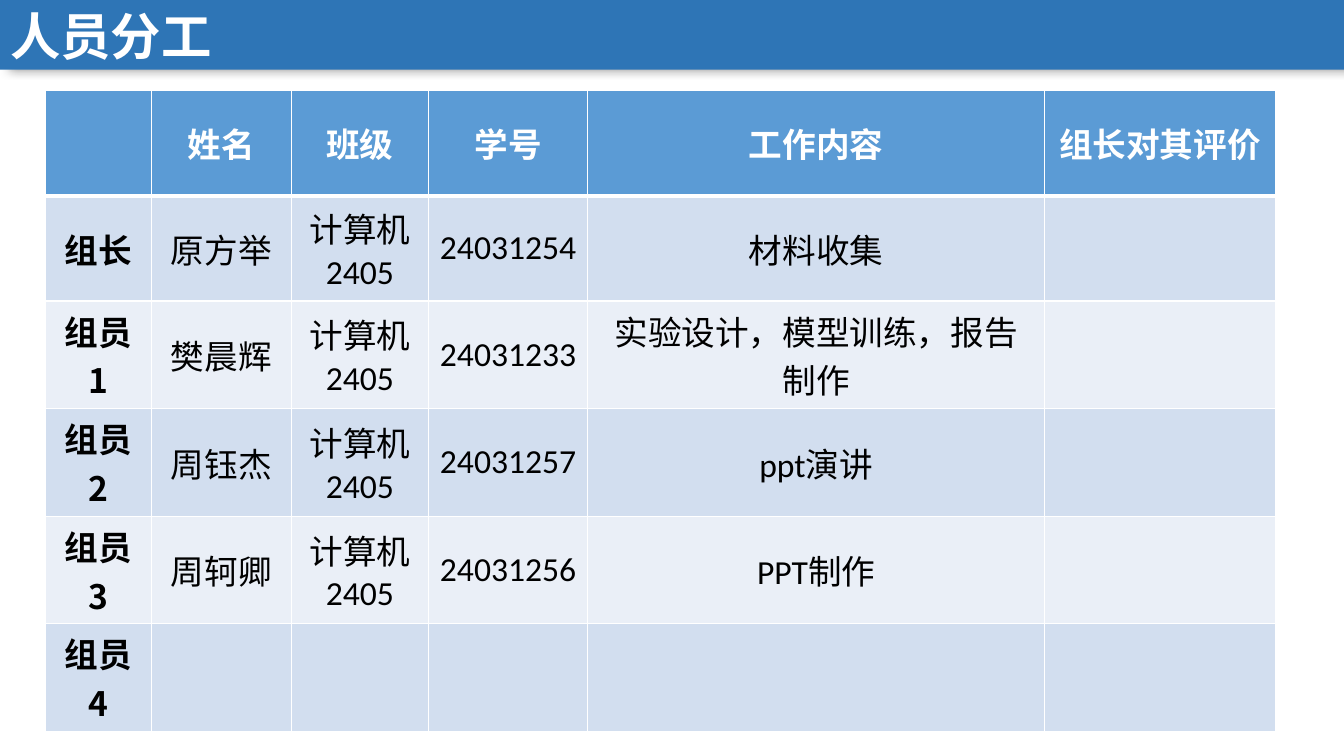
from lxml.etree import SubElement
from pptx import Presentation
from pptx.dml.color import RGBColor
from pptx.enum.shapes import MSO_SHAPE
from pptx.enum.text import MSO_ANCHOR, MSO_AUTO_SIZE, PP_ALIGN
from pptx.oxml import parse_xml
from pptx.oxml.ns import nsdecls, qn
from pptx.util import Inches, Pt

HEADING = "人员分工"
MEMBERS = [
    ("", "姓名", "班级", "学号", "工作内容", "组长对其评价"),
    ("组长", "原方举", "计算机2405", "24031254", "材料收集", ""),
    ("组员1", "樊晨辉", "计算机2405", "24031233", "实验设计，模型训练，报告制作", ""),
    ("组员2", "周钰杰", "计算机2405", "24031257", "ppt演讲", ""),
    ("组员3", "周轲卿", "计算机2405", "24031256", "PPT制作", ""),
    ("组员4", "", "", "", "", ""),
]
COLUMN_WIDTHS = (1.05, 1.39, 1.36, 1.58, 4.53, 2.29)
TABLE_LEFT, TABLE_TOP, TABLE_HEIGHT = 0.45, 0.9, 6.26
SLIDE_WIDTH, SLIDE_HEIGHT = 13.33, 7.5
BAR_HEIGHT = 0.69
COLORS = {
    "bar": "2E75B6", "header": "5B9BD5", "odd": "D2DEEF", "even": "EAEFF7",
    "white": "FFFFFF", "black": "000000",
}
CJK, LATIN = "Noto Sans CJK SC", "Calibri"


def rgb(name):
    return RGBColor.from_string(COLORS[name])


def style_text(paragraph, latin, size, color, bold, align):
    paragraph.alignment = align
    for run in paragraph.runs:
        font = run.font
        font.name, font.size, font.bold = latin, Pt(size), bold
        font.color.rgb = rgb(color)
        SubElement(font._element, qn("a:ea"), typeface=CJK)


def set_borders(cell, top, bottom):
    """Draw white cell borders; top and bottom are widths in points."""
    properties = cell._tc.get_or_add_tcPr()
    sides = (("lnL", 1), ("lnR", 1), ("lnT", top), ("lnB", bottom))
    for position, (side, width) in enumerate(sides):
        properties.insert(position, parse_xml(
            f'<a:{side} {nsdecls("a")} w="{Pt(width)}"><a:solidFill>'
            f'<a:srgbClr val="{COLORS["white"]}"/></a:solidFill></a:{side}>'))


def add_heading(slide):
    title = slide.shapes.title
    bar = slide.shapes.add_shape(
        MSO_SHAPE.RECTANGLE, 0, 0, Inches(SLIDE_WIDTH), Inches(BAR_HEIGHT))
    title.element.addprevious(bar.element)
    bar.fill.solid()
    bar.fill.fore_color.rgb = rgb("bar")
    bar.line.fill.background()
    bar.shadow.inherit = False
    effects = bar.element.spPr.find(qn("a:effectLst"))
    effects.append(parse_xml(
        f'<a:outerShdw {nsdecls("a")} blurRad="{Pt(7)}" dist="{Pt(6)}" dir="0" '
        f'algn="l" rotWithShape="0"><a:srgbClr val="{COLORS["black"]}">'
        '<a:alpha val="40000"/></a:srgbClr></a:outerShdw>'))

    title.left, title.top = 0, 0
    title.width, title.height = Inches(3.28), Inches(0.71)
    frame = title.text_frame
    frame.text = HEADING
    frame.auto_size = MSO_AUTO_SIZE.NONE
    frame.vertical_anchor = MSO_ANCHOR.MIDDLE
    style_text(frame.paragraphs[0], CJK, 36, "white", True, PP_ALIGN.LEFT)


def add_members(slide):
    table = slide.shapes.add_table(
        len(MEMBERS), len(COLUMN_WIDTHS), Inches(TABLE_LEFT), Inches(TABLE_TOP),
        Inches(sum(COLUMN_WIDTHS)), Inches(TABLE_HEIGHT)).table
    for column, width in zip(table.columns, COLUMN_WIDTHS):
        column.width = Inches(width)
    for r, member in enumerate(MEMBERS):
        is_header = r == 0
        fill = "header" if is_header else "odd" if r % 2 else "even"
        for c, entry in enumerate(member):
            cell = table.cell(r, c)
            cell.text = entry
            cell.vertical_anchor = MSO_ANCHOR.MIDDLE
            cell.fill.solid()
            cell.fill.fore_color.rgb = rgb(fill)
            set_borders(cell, 3 if r == 1 else 1, 3 if is_header else 1)
            is_label = is_header or c == 0
            style_text(cell.text_frame.paragraphs[0], CJK if is_label else LATIN, 24,
                       "white" if is_header else "black", is_label, PP_ALIGN.CENTER)


def main():
    deck = Presentation()
    deck.slide_width, deck.slide_height = Inches(SLIDE_WIDTH), Inches(SLIDE_HEIGHT)
    slide = deck.slides.add_slide(deck.slide_layouts.get_by_name("Title Only"))
    add_heading(slide)
    add_members(slide)
    deck.save("out.pptx")


if __name__ == "__main__":
    main()
